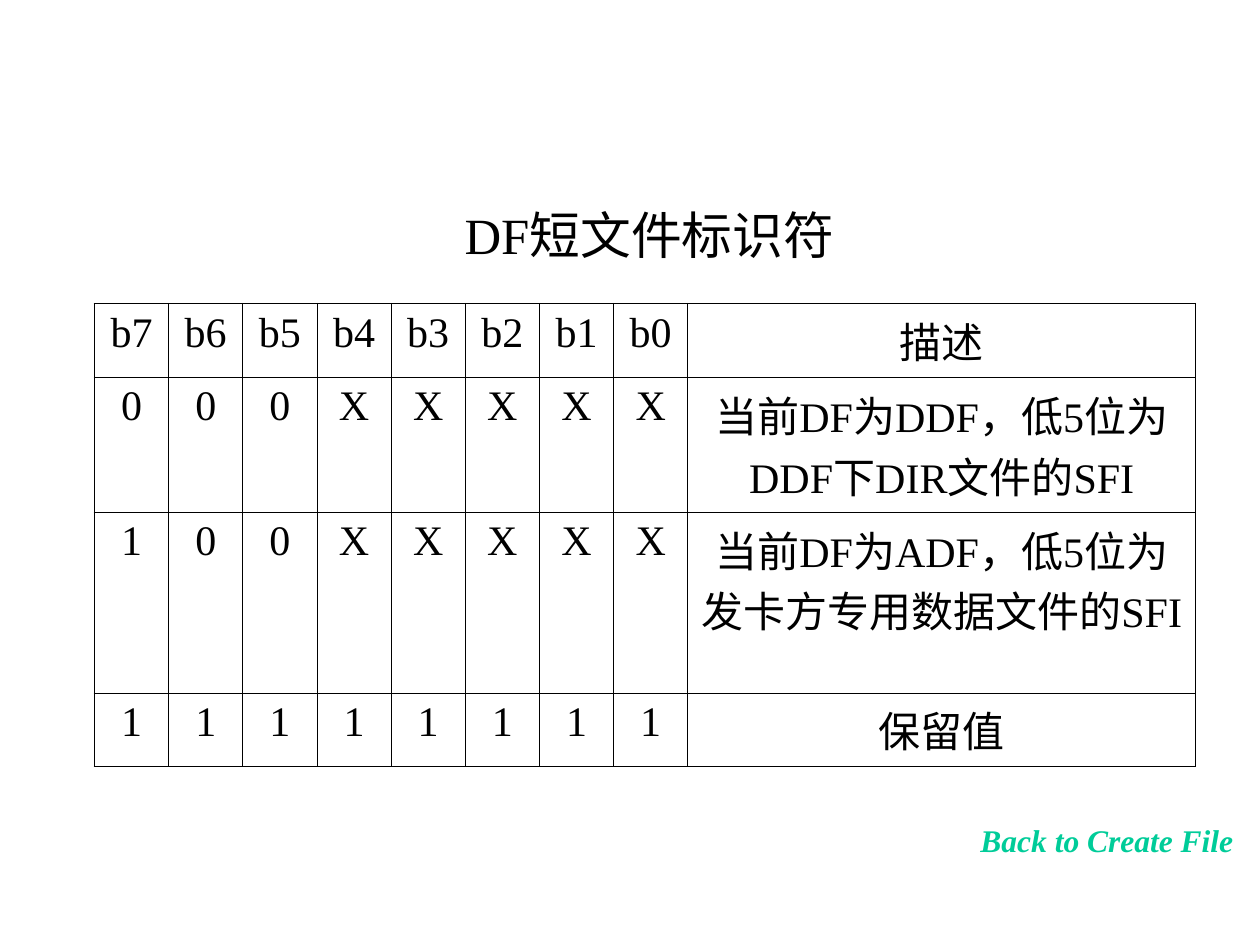
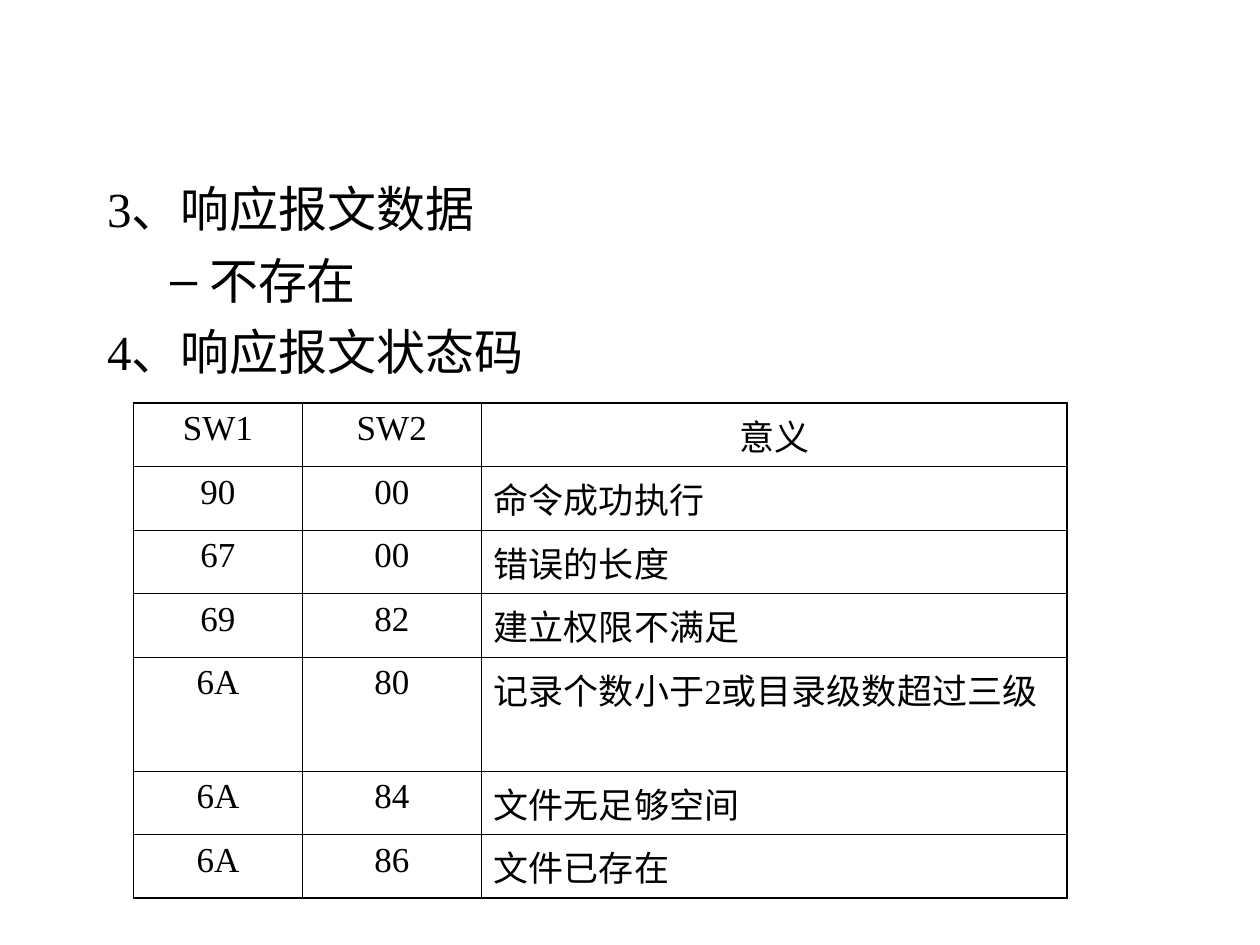
from pptx import Presentation
from pptx.dml.color import RGBColor
from pptx.enum.text import MSO_ANCHOR, MSO_AUTO_SIZE, PP_ALIGN
from pptx.oxml.ns import qn
from pptx.util import Inches, Pt
from lxml import etree

LEFT, CENTER = PP_ALIGN.LEFT, PP_ALIGN.CENTER
TOP, MIDDLE = MSO_ANCHOR.TOP, MSO_ANCHOR.MIDDLE
FIXED = MSO_AUTO_SIZE.NONE
BLACK = RGBColor(0x00, 0x00, 0x00)
GREEN = RGBColor(0x00, 0xCC, 0x99)
FACE = "Times New Roman"
OUTER, INNER = Pt(1.08), Pt(0.45)
TITLE_ONLY, TITLE_BODY = 5, 1

# Content
HEADING = "DF短文件标识符"
BACK = "Back to Create File"
BITS = [
    [f"b{n}" for n in range(7, -1, -1)] + ["描述"],
    [*"000XXXXX", "当前DF为DDF，低5位为DDF下DIR文件的SFI"],
    [*"100XXXXX", "当前DF为ADF，低5位为发卡方专用数据文件的SFI"],
    [*"11111111", "保留值"],
]
POINTS = [(0, "3、响应报文数据"), (1, "不存在"), (0, "4、响应报文状态码")]
CODES = [
    ("SW1", "SW2", "意义"),
    ("90", "00", "命令成功执行"),
    ("67", "00", "错误的长度"),
    ("69", "82", "建立权限不满足"),
    ("6A", "80", "记录个数小于2或目录级数超过三级"),
    ("6A", "84", "文件无足够空间"),
    ("6A", "86", "文件已存在"),
]

# Layout, in inches; rows grow to fit their text
BIT_TABLE = {
    "at": (0.75, 2.41),
    "cols": [(8.74 - 4.03) / 8] * 8 + [4.03],
    "rows": [0.58, 1.07, 1.43, 0.58],
    "size": 24,
}
CODE_TABLE = {
    "at": (1.06, 3.2),
    "cols": [1.34, 1.42, 4.65],
    "rows": [0.5] * 4 + [0.9] + [0.5] * 2,
    "size": 20,
}
INDENTS = [(0.38, -0.38), (0.81, -0.31)]


def place(shape, *box):
    for name, value in zip(("left", "top", "width", "height"), box):
        setattr(shape, name, Inches(value))


def style(para, size, color=BLACK, align=LEFT, **extra):
    para.alignment = align
    look = {"name": FACE, "size": Pt(size), **extra}
    for name, value in look.items():
        setattr(para.font, name, value)
    para.font.color.rgb = color


def set_frame(frame, anchor=TOP, wrap=True):
    frame.auto_size = FIXED
    frame.vertical_anchor = anchor
    frame.word_wrap = wrap


def border(cell, widths):
    """Draw the cell's lines; widths follow left, right, top, bottom."""
    props = cell._tc.get_or_add_tcPr()
    for spot, (side, width) in enumerate(zip("LRTB", widths)):
        line = etree.Element(qn(f"a:ln{side}"), w=str(int(width)))
        fill = etree.SubElement(line, qn("a:solidFill"))
        etree.SubElement(fill, qn("a:srgbClr"), val=str(BLACK))
        props.insert(spot, line)


def add_grid(slide, data, at, cols, rows, size, last=CENTER):
    """Add a ruled table; last aligns the final column below the header."""
    box = (*at, sum(cols), sum(rows))
    frame = slide.shapes.add_table(len(rows), len(cols), *map(Inches, box))
    table = frame.table
    table.first_row = table.horz_banding = False
    for col, width in zip(table.columns, cols):
        col.width = Inches(width)
    for row, height in zip(table.rows, rows):
        row.height = Inches(height)
    right, bottom = len(cols) - 1, len(rows) - 1
    for r, words in enumerate(data):
        for c, word in enumerate(words):
            cell = table.cell(r, c)
            cell.text = word
            cell.fill.background()
            align = last if r and c == right else CENTER
            style(cell.text_frame.paragraphs[0], size, align=align)
            edges = (c == 0, c == right, r == 0, r == bottom)
            border(cell, [OUTER if edge else INNER for edge in edges])


def add_points(frame, points):
    frame.text = "\n".join(text for _, text in points)
    for spot, (para, (level, _)) in enumerate(zip(frame.paragraphs, points)):
        para.level = level
        para.space_before = Pt(7 if spot else 0)
        props = para._p.get_or_add_pPr()
        for name, value in zip(("marL", "indent"), INDENTS[level]):
            props.set(name, str(Inches(value)))
        if level:
            etree.SubElement(props, qn("a:buChar"), char="–")
        else:
            etree.SubElement(props, qn("a:buNone"))
        style(para, 28)


def add_back(slide, left, top, width, height):
    right, bottom = left + width, top + height
    pen = slide.shapes.build_freeform(left, top)
    pen.add_line_segments([(right, top), (right, bottom), (left, bottom)])
    back = pen.convert_to_shape()
    back.shadow.inherit = False
    back.fill.background()
    back.line.fill.background()
    set_frame(back.text_frame, MIDDLE, wrap=False)
    back.text_frame.text = BACK
    para = back.text_frame.paragraphs[0]
    style(para, 18, GREEN, CENTER, bold=True, italic=True)


def build_bits(deck):
    slide = deck.slides.add_slide(deck.slide_layouts[TITLE_ONLY])
    title = slide.shapes.title
    place(title, 3.11, 1.62, 4.09, 0.56)
    set_frame(title.text_frame)
    title.text_frame.text = HEADING
    para = title.text_frame.paragraphs[0]
    para.line_spacing = 0.9
    style(para, 29, align=CENTER)
    add_grid(slide, BITS, **BIT_TABLE)
    add_back(slide, *map(Inches, (7.76, 6.51, 2.05, 0.31)))


def build_codes(deck):
    slide = deck.slides.add_slide(deck.slide_layouts[TITLE_BODY])
    title = slide.shapes.title.element
    title.getparent().remove(title)
    body = slide.placeholders[1]
    place(body, 0.75, 1.37, 7.87, 1.75)
    set_frame(body.text_frame)
    add_points(body.text_frame, POINTS)
    add_grid(slide, CODES, **CODE_TABLE, last=LEFT)


def main():
    deck = Presentation()
    deck.slide_width, deck.slide_height = Inches(10), Inches(7.5)
    build_bits(deck)
    build_codes(deck)
    deck.save("out.pptx")


if __name__ == "__main__":
    main()
